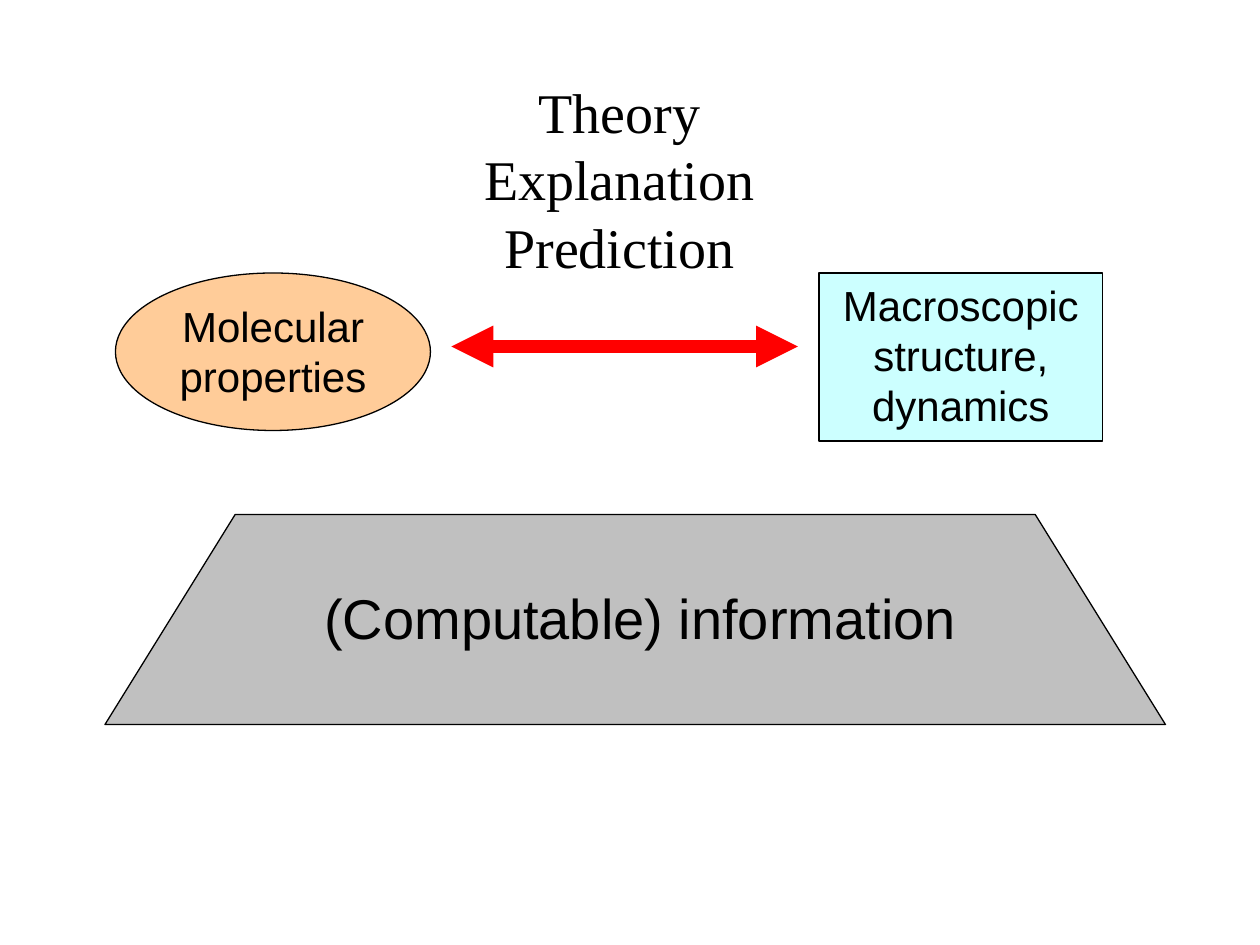
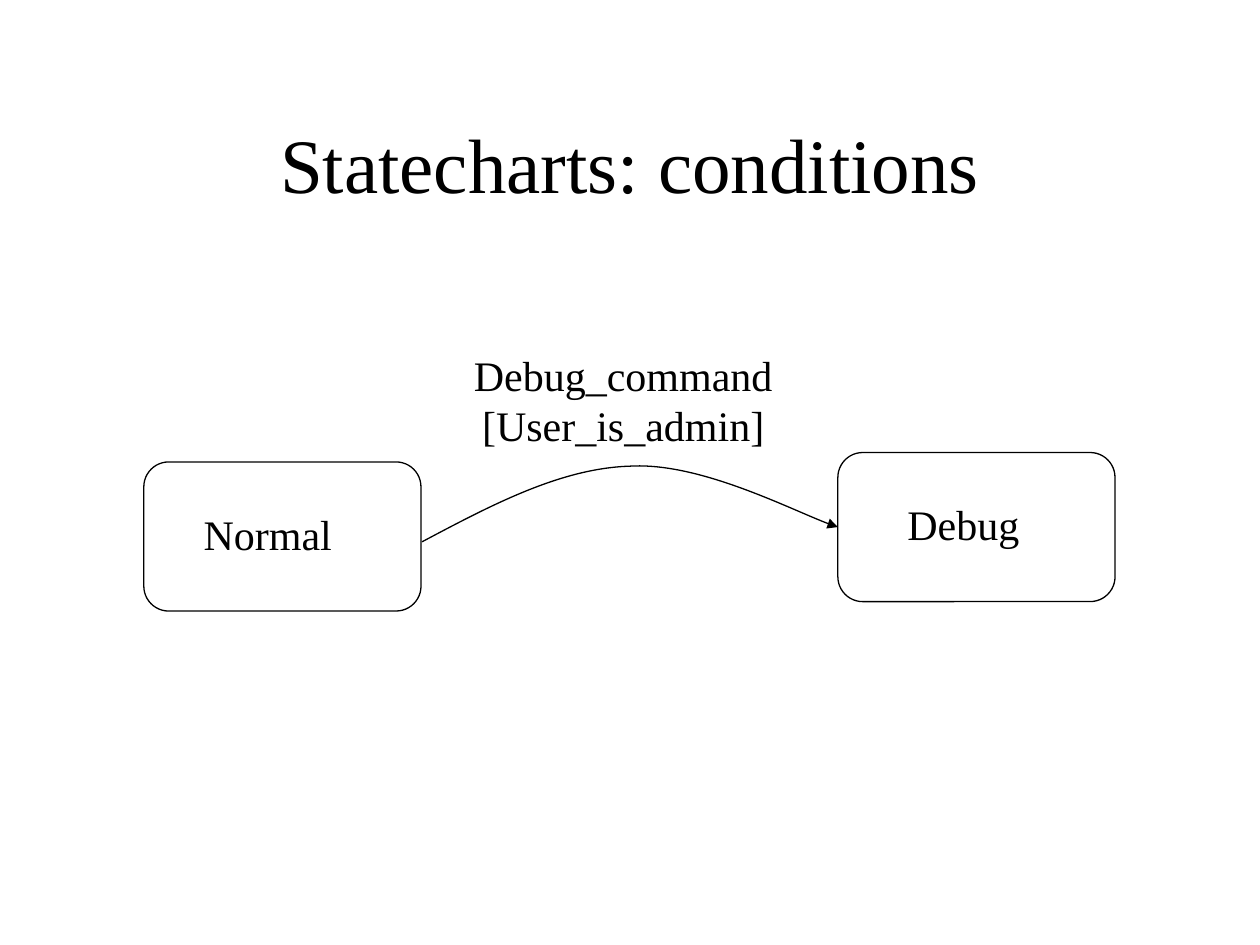
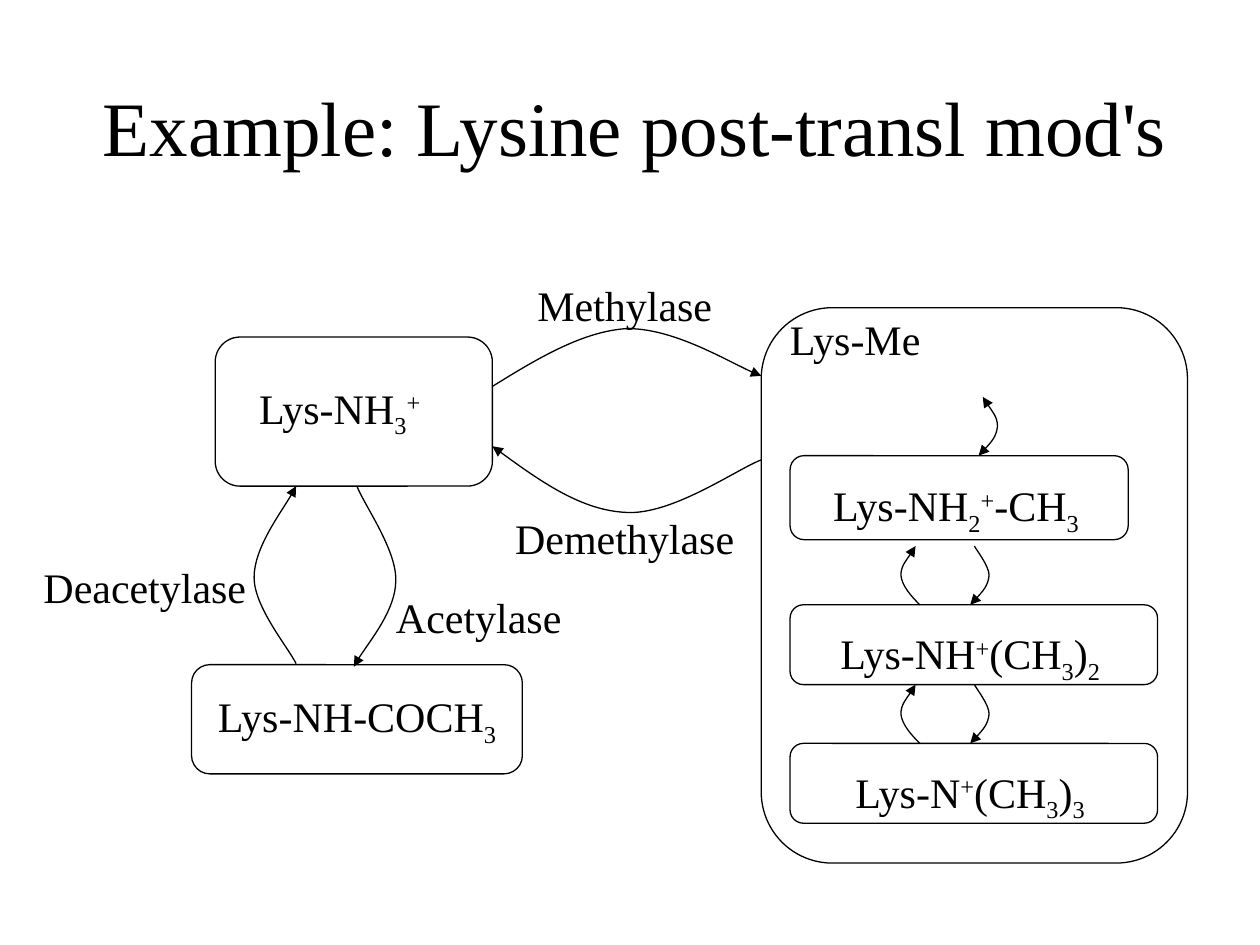
from copy import deepcopy
from dataclasses import dataclass
from typing import Optional

from lxml import etree
from pptx import Presentation
from pptx.dml.color import RGBColor
from pptx.enum.shapes import MSO_CONNECTOR, MSO_SHAPE
from pptx.enum.text import MSO_ANCHOR, MSO_AUTO_SIZE, PP_ALIGN
from pptx.oxml.ns import qn
from pptx.util import Emu, Inches, Pt

SLIDE_WIDTH, SLIDE_HEIGHT = Inches(10), Inches(7.5)
COLUMNS = 120  # square cells, so the slide has 90 rows
CELL = SLIDE_WIDTH / COLUMNS
TITLE_ONLY = 5

ELLIPSE = MSO_SHAPE.OVAL
RECTANGLE = MSO_SHAPE.RECTANGLE
ROUNDED = MSO_SHAPE.ROUNDED_RECTANGLE
STRAIGHT = MSO_CONNECTOR.STRAIGHT
CENTER = PP_ALIGN.CENTER
MIDDLE = MSO_ANCHOR.MIDDLE
FIT_SHAPE = MSO_AUTO_SIZE.SHAPE_TO_FIT_TEXT

SERIF, SANS = "Times New Roman", "Arial"
BLACK, RED = "000000", "FF0000"
PEACH, AQUA, GREY = "FFCC99", "CCFFFF", "C0C0C0"
THIN, THICK = 0.75, 8
TITLE_SIZE, LARGE_SIZE, LABEL_SIZE = 44, 32, 24
CORNER = 0.167
BASELINES = {"_": "-25000", "^": "30000"}

Point = tuple[float, float]


@dataclass(frozen=True)
class Box:
    """A rectangle in grid columns and rows."""
    left: float
    top: float
    width: float
    height: float

    def lengths(self) -> list[Emu]:
        return [cells(n) for n in (self.left, self.top, self.width, self.height)]


@dataclass(frozen=True)
class Label:
    """Text lines; a bar splits runs, and a run led by _ or ^ is lowered or raised."""
    text: str
    box: Box
    font: str = SERIF
    size: int = LABEL_SIZE
    wrap: bool = False


@dataclass(frozen=True)
class Node:
    box: Box
    label: Label
    kind: int = ROUNDED
    fill: Optional[str] = None


@dataclass(frozen=True)
class Curve:
    """A start point followed by Bezier triples."""
    points: list[Point]
    head: bool = False
    tail: bool = False


def cells(count: float) -> Emu:
    return Emu(round(count * CELL))


def color(value: str) -> RGBColor:
    return RGBColor.from_string(value)


def format_runs(paragraph, font: str, size: int) -> None:
    paragraph.alignment = CENTER
    for run in paragraph.runs:
        run.font.name = font
        run.font.size = Pt(size)
        run.font.color.rgb = color(BLACK)


def style_line(shape, line_color: str = BLACK, width: float = THIN,
               head: bool = False, tail: bool = False) -> None:
    shape.line.color.rgb = color(line_color)
    shape.line.width = Pt(width)
    line = shape.line._get_or_add_ln()
    for tag, wanted in (("a:headEnd", head), ("a:tailEnd", tail)):
        if wanted:
            etree.SubElement(line, qn(tag), type="triangle")


def style_outline(shape, fill: Optional[str] = None, **ends: bool) -> None:
    shape.shadow.inherit = False
    if fill:
        shape.fill.solid()
        shape.fill.fore_color.rgb = color(fill)
    else:
        shape.fill.background()
    style_line(shape, **ends)


def add_title_slide(presentation, text: str, box: Box, size: int = TITLE_SIZE):
    slide = presentation.slides.add_slide(presentation.slide_layouts[TITLE_ONLY])
    title = slide.shapes.title
    title.left, title.top, title.width, title.height = box.lengths()
    frame = title.text_frame
    frame.text = text
    frame.vertical_anchor = MIDDLE
    frame.word_wrap = True
    frame.auto_size = FIT_SHAPE
    paragraph = frame.paragraphs[0]
    format_runs(paragraph, SERIF, size)
    for line_break in paragraph._p.findall(qn("a:br")):
        line_break.append(deepcopy(paragraph.runs[0].font._element))
    return slide


def add_label(slide, label: Label) -> None:
    frame = slide.shapes.add_textbox(*label.box.lengths()).text_frame
    frame.word_wrap = label.wrap
    frame.auto_size = FIT_SHAPE
    for index, line in enumerate(label.text.split("\n")):
        paragraph = frame.add_paragraph() if index else frame.paragraphs[0]
        for piece in line.split("|"):
            run = paragraph.add_run()
            baseline = BASELINES.get(piece[0])
            run.text = piece[1:] if baseline else piece
            if baseline:
                run.font._element.set("baseline", baseline)
        format_runs(paragraph, label.font, label.size)


def add_node(slide, node: Node) -> None:
    shape = slide.shapes.add_shape(node.kind, *node.box.lengths())
    if node.kind == ROUNDED:
        shape.adjustments[0] = CORNER
    style_outline(shape, node.fill)
    add_label(slide, node.label)


def add_outline(slide, points: list[Point], closed: bool):
    start, *rest = [(cells(x), cells(y)) for x, y in points]
    builder = slide.shapes.build_freeform(*start)
    builder.add_line_segments(rest, close=closed)
    return builder.convert_to_shape()


def add_curve(slide, curve: Curve) -> None:
    """Draw the points as a freeform, then turn each three segments into a Bezier."""
    shape = add_outline(slide, curve.points, closed=False)
    segments = list(shape._element.iter(qn("a:lnTo")))
    for first in range(0, len(segments), 3):
        triple = segments[first:first + 3]
        bezier = etree.SubElement(triple[0].getparent(), qn("a:cubicBezTo"))
        for segment in triple:
            bezier.append(segment[0])
            segment.getparent().remove(segment)
    style_outline(shape, head=curve.head, tail=curve.tail)


def bulge(x: float, y: float, side: int, head: bool = False, tail: bool = False) -> Curve:
    """A short upward arc from (x, y), bowed right (side 1) or left (side -1)."""
    offsets = [(0, 0), (0.8, 0.8), (1.7, 1.8), (1.8, 2.8), (1.8, 3.7), (0.6, 5.2), (0.4, 5.6)]
    return Curve([(x + side * dx, y - dy) for dx, dy in offsets], head, tail)


def add_information_slide(presentation) -> None:
    slide = add_title_slide(presentation, "Theory\vExplanation\vPrediction",
                            Box(42, 6.8, 34, 20.4), LARGE_SIZE)
    base = add_outline(slide, [(10, 69), (111, 69), (98.6, 49), (22.4, 49)], closed=True)
    style_outline(base, GREY)
    add_label(slide, Label("(Computable) information", Box(28, 55, 66, 7.7),
                           SANS, LARGE_SIZE, wrap=True))

    arrow = slide.shapes.add_connector(STRAIGHT, cells(43), cells(33), cells(76), cells(33))
    style_line(arrow, RED, THICK, head=True, tail=True)
    etree.SubElement(arrow._element.spPr, qn("a:effectLst"))

    molecular = Label("Molecular properties", Box(13, 28, 26, 10.8), SANS, wrap=True)
    macroscopic = Label("Macroscopic structure, dynamics", Box(78, 26, 27, 15.6),
                        SANS, wrap=True)
    add_node(slide, Node(Box(11, 26, 30, 15), molecular, ELLIPSE, PEACH))
    add_node(slide, Node(Box(78, 26, 27, 16), macroscopic, RECTANGLE, AQUA))


def add_conditions_slide(presentation) -> None:
    slide = add_title_slide(presentation, "Statecharts: conditions", Box(9, 8, 102, 15))
    add_node(slide, Node(Box(13.7, 44, 26.4, 14.2),
                         Label("Normal", Box(18, 47.8, 15, 6))))
    add_node(slide, Node(Box(79.8, 43.1, 26.4, 14.2),
                         Label("Debug", Box(85, 46.9, 13.5, 6))))
    add_curve(slide, Curve([(40.2, 51.6), (46.8, 48.1), (53.4, 44.6), (60, 44.4),
                            (66.6, 44), (76.6, 49.2), (79.8, 50.2)], tail=True))
    add_label(slide, Label("Debug_command\n[User_is_admin]", Box(43.7, 32.7, 31.3, 10.8)))


def add_lysine_slide(presentation) -> None:
    slide = add_title_slide(presentation, "Example: Lysine post-transl mod's",
                            Box(7, 6, 107, 12))
    methyl_left, dimethyl_top, methyl_step = 75.25, 57.6, 13.2
    nodes = [
        Node(Box(20.5, 32.1, 26.4, 14.2), Label("Lys-NH|_3|^+", Box(23.1, 35.8, 18.5, 6.7))),
        Node(Box(72.5, 29.3, 40.6, 52.9), Label("Lys-Me", Box(73.4, 29.3, 16.1, 6))),
        Node(Box(18.25, 63.3, 31.5, 10.4),
             Label("Lys-NH-COCH|_3", Box(18.6, 65.2, 30.8, 6.7))),
        Node(Box(methyl_left, 43.4, 32.2, 8),
             Label("Lys-NH|_2|^+|-CH|_3", Box(76.7, 45.1, 28.7, 6.7))),
    ]
    curves = [
        Curve([(46.9, 36.8), (51.1, 34.2), (55.4, 31.6), (59.6, 31.3),
               (64, 31.2), (70.3, 35), (72.5, 35.8)], tail=True),
        Curve([(46.9, 42.5), (51.1, 45.6), (55.4, 48.6), (59.6, 48.8),
               (64, 49.1), (70.3, 44.6), (72.5, 43.8)], head=True),
        Curve([(28.2, 46.3), (27.5, 47.8), (24.2, 52.2), (24.2, 55),
               (24.2, 57.8), (27.4, 61.6), (28.2, 63.2)], head=True),
        Curve([(33.7, 63.5), (34.3, 62.2), (37.7, 58.1), (37.7, 55.3),
               (37.8, 52.4), (34.7, 48.1), (34, 46.3)], head=True),
        bulge(93.2, 43.4, 1, head=True, tail=True),
    ]
    for index, formula in enumerate(("Lys-NH|^+|(CH|_3|)|_2", "Lys-N|^+|(CH|_3|)|_3")):
        top = dimethyl_top + index * methyl_step
        nodes.append(Node(Box(methyl_left, top, 35, 7.6),
                          Label(formula, Box(76.8, top + 1.6, 31.2, 6.7))))
        curves += [bulge(87.6, top, -1, tail=True), bulge(92.4, top, 1, head=True)]
    enzymes = [
        Label("Methylase", Box(49.5, 26, 20, 6)),
        Label("Demethylase", Box(47.5, 48.2, 24, 6)),
        Label("Acetylase", Box(36.1, 55.7, 19, 6)),
        Label("Deacetylase", Box(2.4, 52.9, 22.8, 6)),
    ]
    for node in nodes:
        add_node(slide, node)
    for curve in curves:
        add_curve(slide, curve)
    for enzyme in enzymes:
        add_label(slide, enzyme)


def main() -> None:
    presentation = Presentation()
    presentation.slide_width, presentation.slide_height = SLIDE_WIDTH, SLIDE_HEIGHT
    add_information_slide(presentation)
    add_conditions_slide(presentation)
    add_lysine_slide(presentation)
    presentation.save("out.pptx")


if __name__ == "__main__":
    main()
